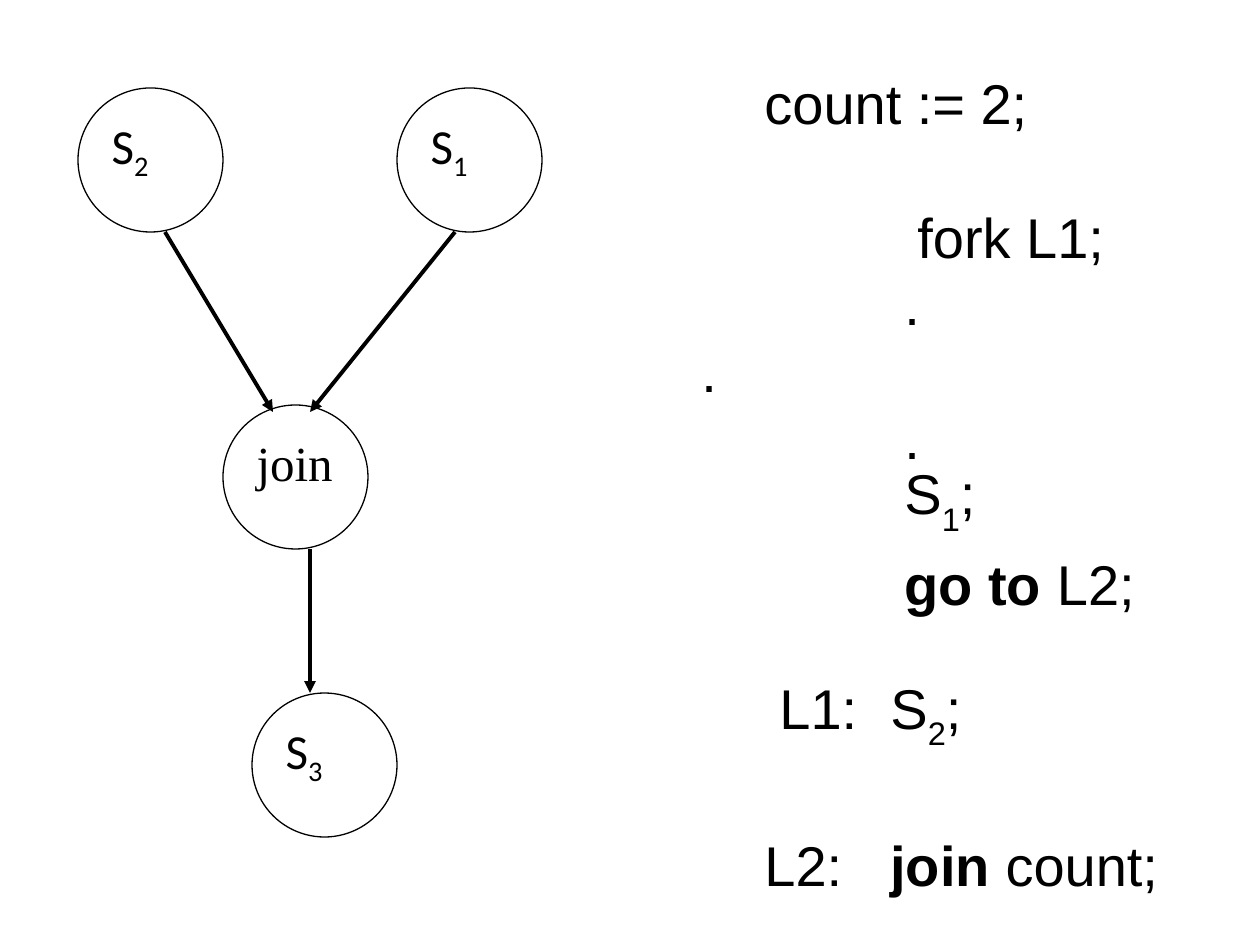
from pptx import Presentation
from pptx import util as u
from pptx.dml.color import RGBColor
from pptx.enum import shapes, text
from pptx.oxml.ns import qn
from lxml import etree

PX = 914400 // 126
BLACK, WHITE = "000000", "FFFFFF"

# Graph nodes: left, top, label runs, font
SUB = {"base": -25000}
NODES = [
    (78, 88, [("S", {}), ("2", SUB)], "Calibri"),
    (223, 405, [("join", {})], "Times New Roman"),
    (252, 693, [("S", {}), ("3", SUB)], "Calibri"),
    (397, 88, [("S", {}), ("1", SUB)], "Calibri"),
]
NODE_SIZE = 145, 144
# Arrows: from x, from y, to x, to y
ARROWS = [(310, 549, 310, 693), (165, 232, 273, 412), (455, 232, 310, 412)]

# Code lines: indent, gap above, tab stop, runs
LOW, BOLD = {"base": -30000}, {"bold": True}
CODE = [
    (63, 0, None, [("count := 2;", {})]),
    (216, 67, None, [("fork L1;", {})]),
    (203, 0, None, [(".", {})]),
    (0, 0, None, [(".", {})]),
    (203, 0, None, [(".", {})]),
    (203, 0, None, [("S", {}), ("1", LOW), (";", {})]),
    (203, 12, None, [("go to", BOLD), (" L2;", {})]),
    (78, 68, 202, [("L1:\tS", {}), ("2", LOW), (";", {})]),
    (63, 78, 187, [("L2:\t", {}), ("join", BOLD), (" count;", {})]),
]
CODE_BOX = 689, 69, 498, 827
LINE_HEIGHT = 67


def px(*values):
    return [u.Emu(v * PX) for v in values]


def rgb(value):
    return RGBColor.from_string(value)


def add_run(p, words, font="Arial", size=32, color=BLACK, bold=False, base=0):
    r = p.add_run()
    r.text = words
    r.font.name, r.font.size, r.font.bold = font, u.Pt(size), bold
    r.font.color.rgb = rgb(color)
    if base:
        r._r.get_or_add_rPr().set("baseline", str(base))


prs = Presentation()
prs.slide_width, prs.slide_height = u.Inches(10), u.Inches(7.5)
s = prs.slides.add_slide(prs.slide_layouts[6])

# Nodes
for left, top, label, font in NODES:
    sp = s.shapes.add_shape(shapes.MSO_SHAPE.OVAL, *px(left, top, *NODE_SIZE))
    sp.shadow.inherit = False
    sp.fill.solid()
    sp.fill.fore_color.rgb = rgb(WHITE)
    sp.line.color.rgb = rgb(BLACK)
    sp.line.width = u.Pt(0.75)
    tf = sp.text_frame
    tf.word_wrap = True
    tf.vertical_anchor = text.MSO_ANCHOR.TOP
    p = tf.paragraphs[0]
    p.alignment = text.PP_ALIGN.LEFT
    for words, style in label:
        add_run(p, words, font=font, size=28, **style)

# Arrows
for ends in ARROWS:
    arrow = s.shapes.add_connector(shapes.MSO_CONNECTOR.STRAIGHT, *px(*ends))
    arrow.line.color.rgb = rgb(BLACK)
    arrow.line.width = u.Pt(2.25)
    etree.SubElement(arrow.line._get_or_add_ln(), qn("a:tailEnd"), type="triangle")
    etree.SubElement(arrow._element.spPr, qn("a:effectLst"))

# Code
tf = s.shapes.add_textbox(*px(*CODE_BOX)).text_frame
tf.word_wrap = True
tf.margin_top = tf.margin_bottom = 0
for i, (indent, gap, tab, runs) in enumerate(CODE):
    p = tf.add_paragraph() if i else tf.paragraphs[0]
    p.line_spacing = u.Pt(round(LINE_HEIGHT * 72 / 126, 1))
    p.space_before = u.Pt(round(gap * 72 / 126, 1))
    pPr = p._p.get_or_add_pPr()
    pPr.set("marL", "0")
    pPr.set("indent", str(indent * PX))
    if tab:
        tabs = etree.SubElement(pPr, qn("a:tabLst"))
        etree.SubElement(tabs, qn("a:tab"), pos=str(tab * PX), algn="l")
    for words, style in runs:
        add_run(p, words, **style)

prs.save("out.pptx")
